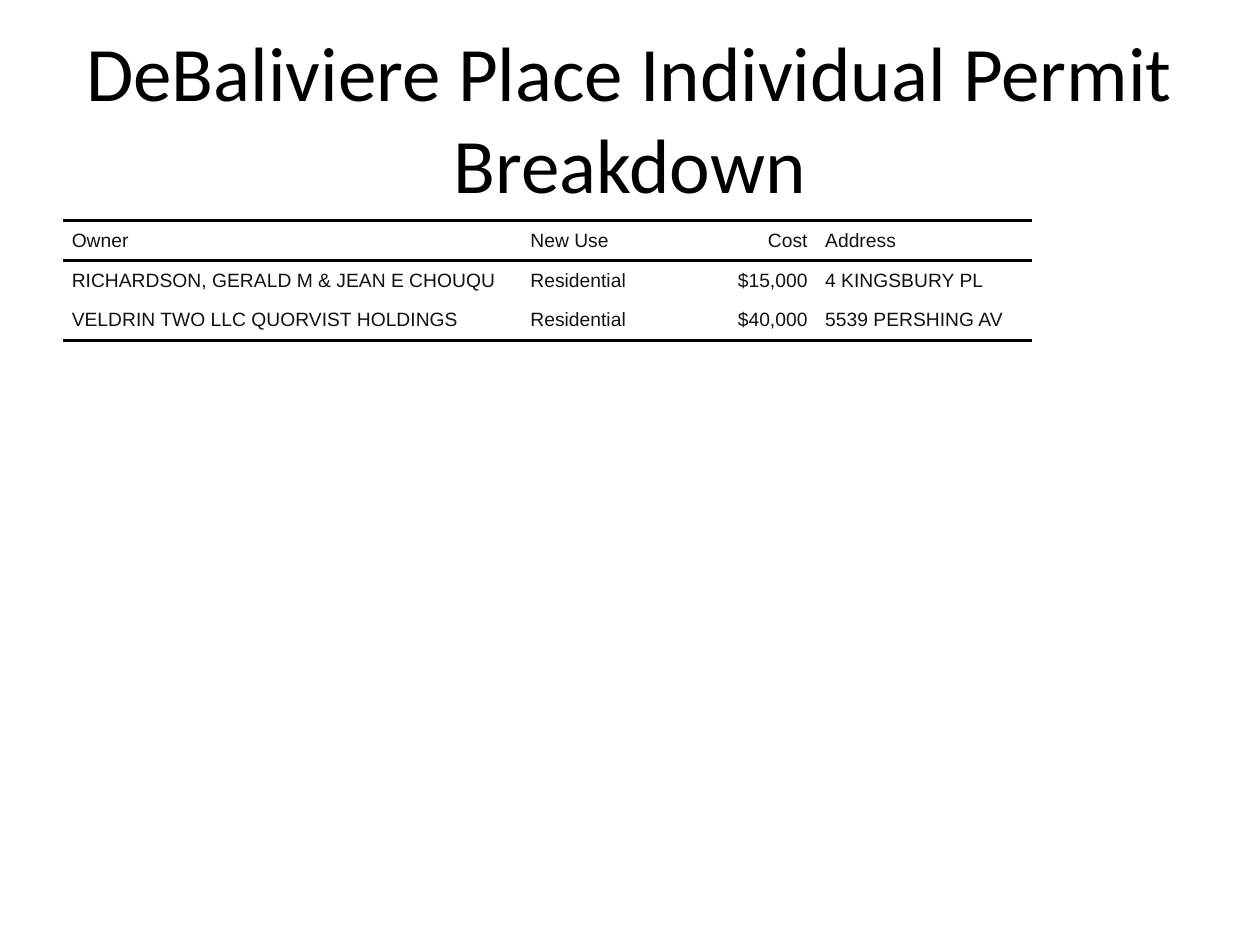
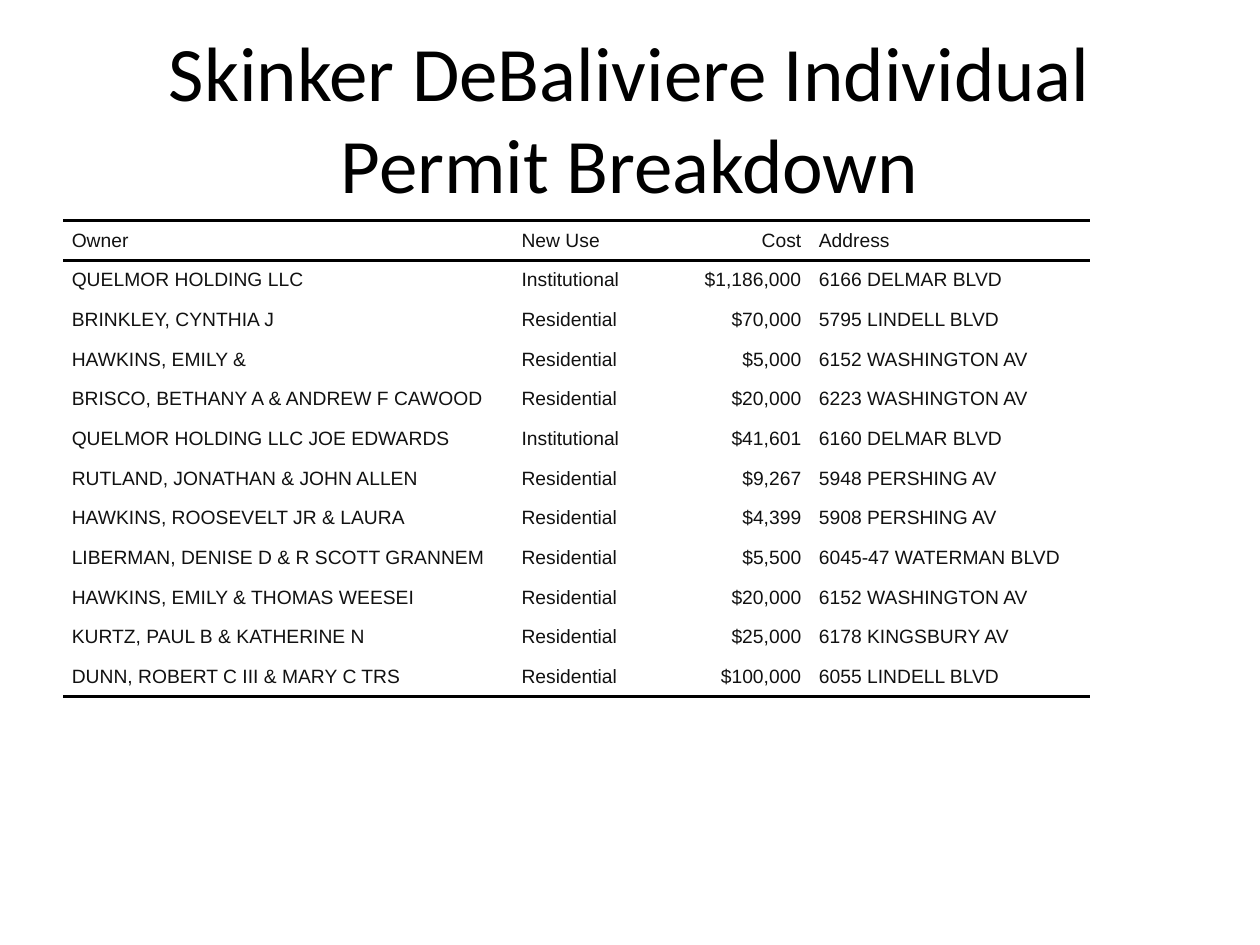
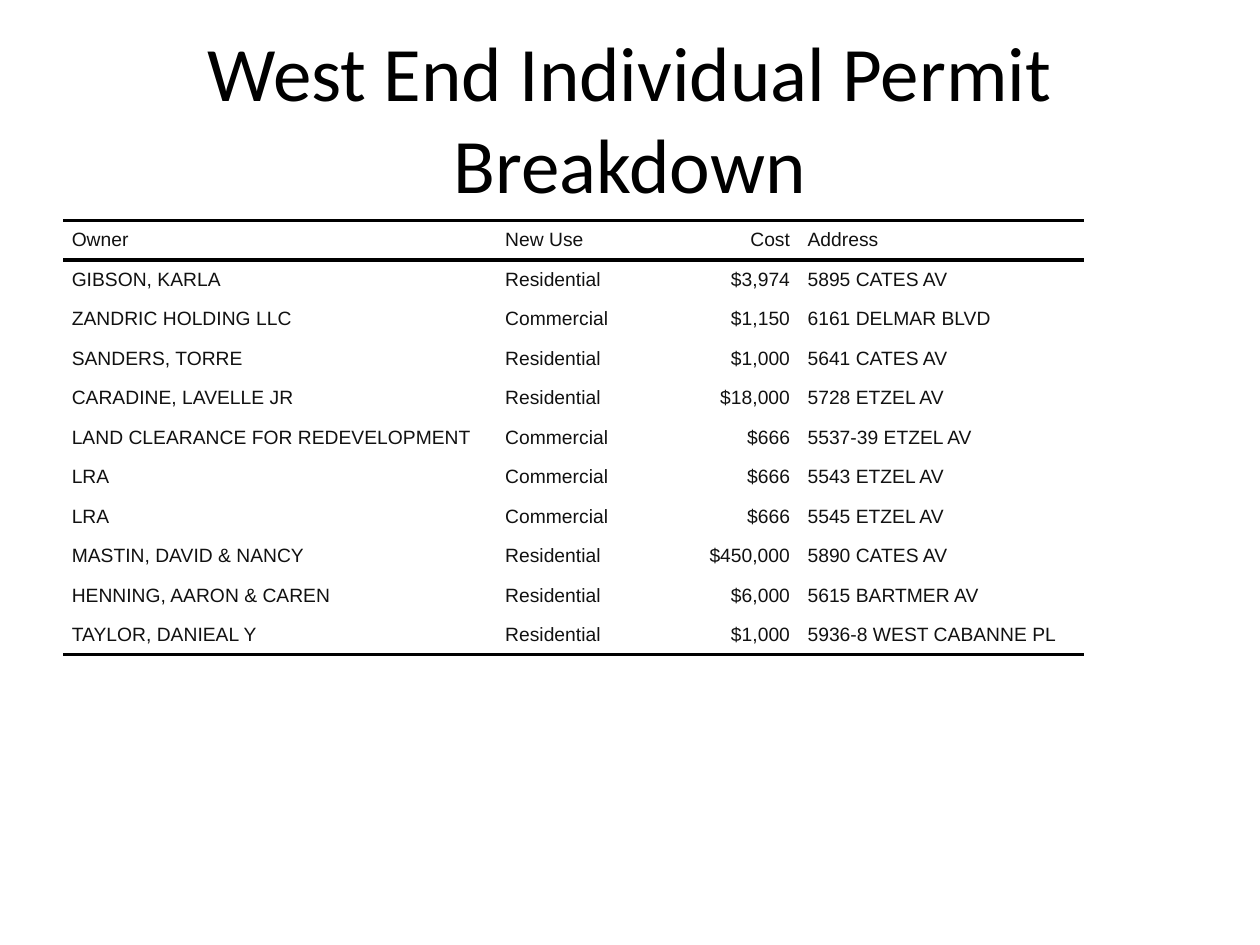
from lxml import etree
from pptx import Presentation
from pptx.dml.color import RGBColor
from pptx.enum.text import MSO_ANCHOR as Anchor, MSO_AUTO_SIZE as AutoSize, PP_ALIGN as Align
from pptx.oxml.ns import qn
from pptx.util import Inches, Pt

BLACK = "000000"
INK = "111111"
PLAIN_STYLE = "{2D5ABB26-0587-4C30-8999-92F81FD0307C}"
RULE_WIDTH = Pt(2)
HEADINGS = ("Owner", "New Use", "Cost", "Address")
COST_COLUMN = HEADINGS.index("Cost")

NEIGHBORHOODS = [
    ("DeBaliviere Place", (3.64, 1.04, 1.3, 1.71), 0.95, [
        ("RICHARDSON, GERALD M & JEAN E CHOUQU", "Residential", "$15,000", "4 KINGSBURY PL"),
        ("VELDRIN TWO LLC QUORVIST HOLDINGS", "Residential", "$40,000", "5539 PERSHING AV"),
    ]),
    ("Skinker DeBaliviere", (3.57, 1.06, 1.3, 2.22), 3.78, [
        ("QUELMOR HOLDING LLC", "Institutional", "$1,186,000", "6166 DELMAR BLVD"),
        ("BRINKLEY, CYNTHIA J", "Residential", "$70,000", "5795 LINDELL BLVD"),
        ("HAWKINS, EMILY &", "Residential", "$5,000", "6152 WASHINGTON AV"),
        ("BRISCO, BETHANY A & ANDREW F CAWOOD", "Residential", "$20,000", "6223 WASHINGTON AV"),
        ("QUELMOR HOLDING LLC JOE EDWARDS", "Institutional", "$41,601", "6160 DELMAR BLVD"),
        ("RUTLAND, JONATHAN & JOHN ALLEN", "Residential", "$9,267", "5948 PERSHING AV"),
        ("HAWKINS, ROOSEVELT JR & LAURA", "Residential", "$4,399", "5908 PERSHING AV"),
        ("LIBERMAN, DENISE D & R SCOTT GRANNEM", "Residential", "$5,500", "6045-47 WATERMAN BLVD"),
        ("HAWKINS, EMILY & THOMAS WEESEI", "Residential", "$20,000", "6152 WASHINGTON AV"),
        ("KURTZ, PAUL B & KATHERINE N", "Residential", "$25,000", "6178 KINGSBURY AV"),
        ("DUNN, ROBERT C III & MARY C TRS", "Residential", "$100,000", "6055 LINDELL BLVD"),
    ]),
    ("West End", (3.44, 1.1, 1.3, 2.26), 3.45, [
        ("GIBSON, KARLA", "Residential", "$3,974", "5895 CATES AV"),
        ("ZANDRIC HOLDING LLC", "Commercial", "$1,150", "6161 DELMAR BLVD"),
        ("SANDERS, TORRE", "Residential", "$1,000", "5641 CATES AV"),
        ("CARADINE, LAVELLE JR", "Residential", "$18,000", "5728 ETZEL AV"),
        ("LAND CLEARANCE FOR REDEVELOPMENT", "Commercial", "$666", "5537-39 ETZEL AV"),
        ("LRA", "Commercial", "$666", "5543 ETZEL AV"),
        ("LRA", "Commercial", "$666", "5545 ETZEL AV"),
        ("MASTIN, DAVID & NANCY", "Residential", "$450,000", "5890 CATES AV"),
        ("HENNING, AARON & CAREN", "Residential", "$6,000", "5615 BARTMER AV"),
        ("TAYLOR, DANIEAL Y", "Residential", "$1,000", "5936-8 WEST CABANNE PL"),
    ]),
]


def add_text(paragraph, text, font, size, color, align):
    paragraph.alignment = align
    run = paragraph.add_run()
    run.text = text
    run.font.name = font
    run.font.size = Pt(size)
    run.font.color.rgb = RGBColor.from_string(color)


def add_rule(cell, side):
    rule = etree.SubElement(cell._tc.get_or_add_tcPr(), qn(f"a:{side}"), w=str(RULE_WIDTH))
    fill = etree.SubElement(rule, qn("a:solidFill"))
    etree.SubElement(fill, qn("a:srgbClr"), val=BLACK)


deck = Presentation()
deck.slide_width, deck.slide_height = Inches(10), Inches(7.5)

for neighborhood, widths, height, permits in NEIGHBORHOODS:
    slide = deck.slides.add_slide(deck.slide_layouts[5])
    heading = slide.shapes.title
    heading.left, heading.top = Inches(0.5), Inches(0.3)
    heading.width, heading.height = Inches(9), Inches(1.25)
    heading.text_frame.word_wrap = True
    heading.text_frame.auto_size = AutoSize.NONE
    heading.text_frame.vertical_anchor = Anchor.MIDDLE
    add_text(heading.text_frame.paragraphs[0], f"{neighborhood} Individual Permit Breakdown",
             "Calibri", 44, BLACK, Align.CENTER)

    rows = [HEADINGS] + permits
    breakdown = slide.shapes.add_table(len(rows), len(HEADINGS), Inches(0.5), Inches(1.75),
                                       Inches(sum(widths)), Inches(height)).table
    breakdown.first_row = breakdown.horz_banding = False
    breakdown._tbl.tblPr.find(qn("a:tableStyleId")).text = PLAIN_STYLE
    for column, width in zip(breakdown.columns, widths):
        column.width = Inches(width)

    for r, row in enumerate(rows):
        for c, entry in enumerate(row):
            cell = breakdown.cell(r, c)
            cell.margin_left = cell.margin_right = Inches(0.07)
            cell.margin_top = cell.margin_bottom = 0
            cell.vertical_anchor = Anchor.MIDDLE
            if r == 0:
                add_rule(cell, "lnT")
            if r in (0, len(rows) - 1):
                add_rule(cell, "lnB")
            cell.fill.background()
            add_text(cell.text_frame.paragraphs[0], entry, "Arial", 11, INK,
                     Align.RIGHT if c == COST_COLUMN else Align.LEFT)

deck.save("out.pptx")
